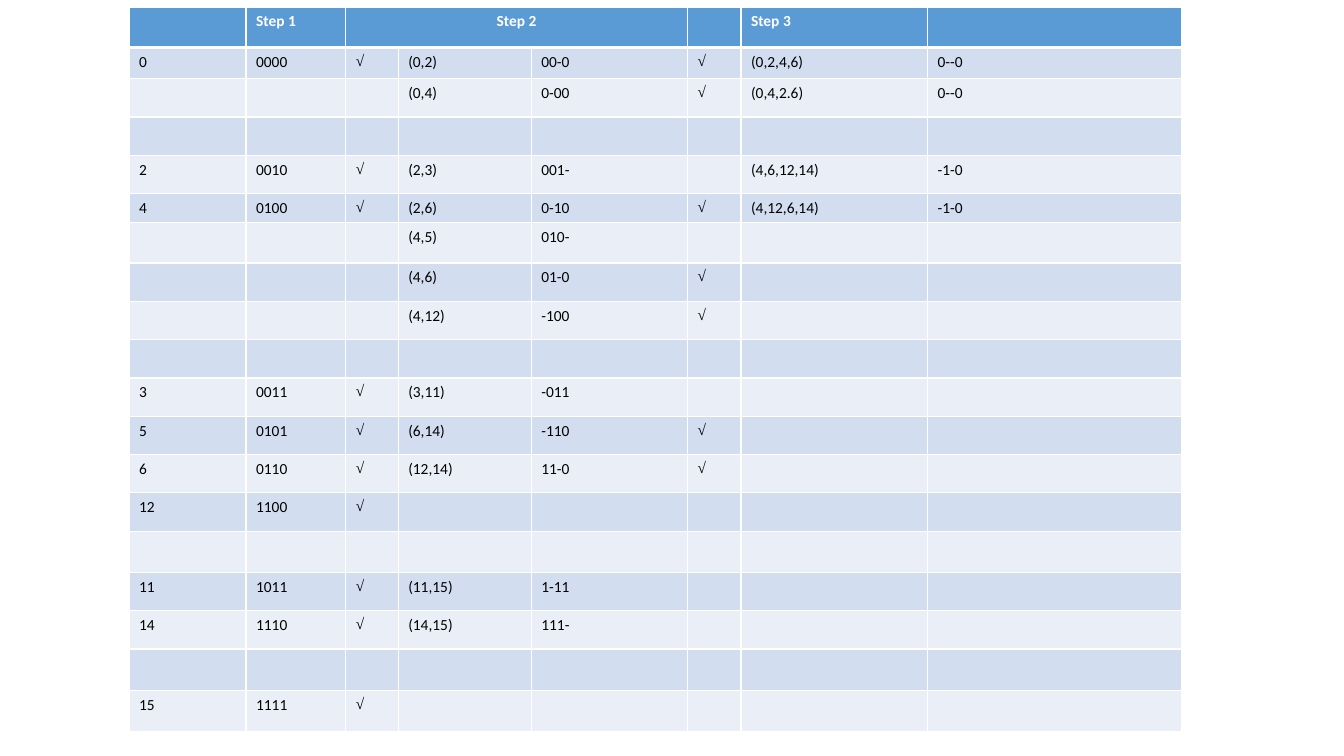
from lxml import etree
from pptx import Presentation
from pptx.dml.color import RGBColor
from pptx.enum.text import PP_ALIGN
from pptx.oxml.ns import qn
from pptx.util import Inches, Pt

CENTER = PP_ALIGN.CENTER
TICK = "√"

# Content: the implicant table, one tuple per row
HEAD = ("", "Step 1", "Step 2", "", "", "", "Step 3", "")
ROWS = [
    ("0", "0000", TICK, "(0,2)", "00-0", TICK, "(0,2,4,6)", "0--0"),
    ("", "", "", "(0,4)", "0-00", TICK, "(0,4,2.6)", "0--0"),
    (),
    ("2", "0010", TICK, "(2,3)", "001-", "", "(4,6,12,14)", "-1-0"),
    ("4", "0100", TICK, "(2,6)", "0-10", TICK, "(4,12,6,14)", "-1-0"),
    ("", "", "", "(4,5)", "010-"),
    ("", "", "", "(4,6)", "01-0", TICK),
    ("", "", "", "(4,12)", "-100", TICK),
    (),
    ("3", "0011", TICK, "(3,11)", "-011"),
    ("5", "0101", TICK, "(6,14)", "-110", TICK),
    ("6", "0110", TICK, "(12,14)", "11-0", TICK),
    ("12", "1100", TICK),
    (),
    ("11", "1011", TICK, "(11,15)", "1-11"),
    ("14", "1110", TICK, "(14,15)", "111-"),
    (),
    ("15", "1111", TICK),
]
WIDTHS = (1.16, 0.99, 0.52, 1.32, 1.55, 0.53, 1.85, 2.52)
BASE = 0.38  # usual row height
TALL = {0: 0.4, 1: 0.31, 5: 0.29, 6: 0.4, 14: 0.41, 17: 0.41, 18: 0.41}
LEFT, TOP = 1.28, 0.07
SIZE = 11
COLORS = {"head": "5B9BD5", "odd": "D2DEEF", "even": "EAEFF7",
          "line": "FFFFFF", "light": "FFFFFF", "dark": "000000"}


def color(name):
    return RGBColor.from_string(COLORS[name])


def border(cell, sides):
    """Draw the cell's edges; sides maps a tag to its width in points."""
    props = cell._tc.get_or_add_tcPr()
    for spot, (tag, width) in enumerate(sides.items()):
        line = etree.Element(qn("a:" + tag), w=str(Pt(width)))
        fill = etree.SubElement(line, qn("a:solidFill"))
        etree.SubElement(fill, qn("a:srgbClr"), val=COLORS["line"])
        props.insert(spot, line)


def write(cell, text, is_head):
    para = cell.text_frame.paragraphs[0]
    if not text:
        # Keep empty cells from stretching their row
        etree.SubElement(para._p, qn("a:endParaRPr"), sz=str(SIZE * 100))
        return
    run = para.add_run()
    run.text = text
    look = {"size": Pt(SIZE), "bold": is_head,
            "name": "Times New Roman" if text == TICK else "Calibri"}
    for key, value in look.items():
        setattr(run.font, key, value)
    run.font.color.rgb = color("light" if is_head else "dark")


def main():
    deck = Presentation()
    deck.slide_width, deck.slide_height = Inches(13.33), Inches(7.5)
    slide = deck.slides.add_slide(deck.slide_layouts[6])

    # Table grid
    lines = [HEAD] + ROWS
    tall = [TALL.get(num, BASE) for num in range(len(lines))]
    table = slide.shapes.add_table(
        len(lines), len(WIDTHS), Inches(LEFT), Inches(TOP),
        Inches(sum(WIDTHS)), Inches(sum(tall))).table
    for col, width in zip(table.columns, WIDTHS):
        col.width = Inches(width)
    for row, height in zip(table.rows, tall):
        row.height = Inches(height)

    # Cells
    for num, line in enumerate(lines):
        band = "head" if num == 0 else "odd" if num % 2 else "even"
        sides = {"lnL": 1, "lnR": 1, "lnT": 3 if num == 1 else 1,
                 "lnB": 3 if num == 0 else 1}
        for pos in range(len(WIDTHS)):
            cell = table.cell(num, pos)
            cell.fill.solid()
            cell.fill.fore_color.rgb = color(band)
            border(cell, sides)
            write(cell, line[pos] if pos < len(line) else "", num == 0)

    # Step 2 heading spans its three columns
    step = table.cell(0, 2)
    step.merge(table.cell(0, 4))
    step.text_frame.paragraphs[0].alignment = CENTER

    deck.save("out.pptx")


if __name__ == "__main__":
    main()
